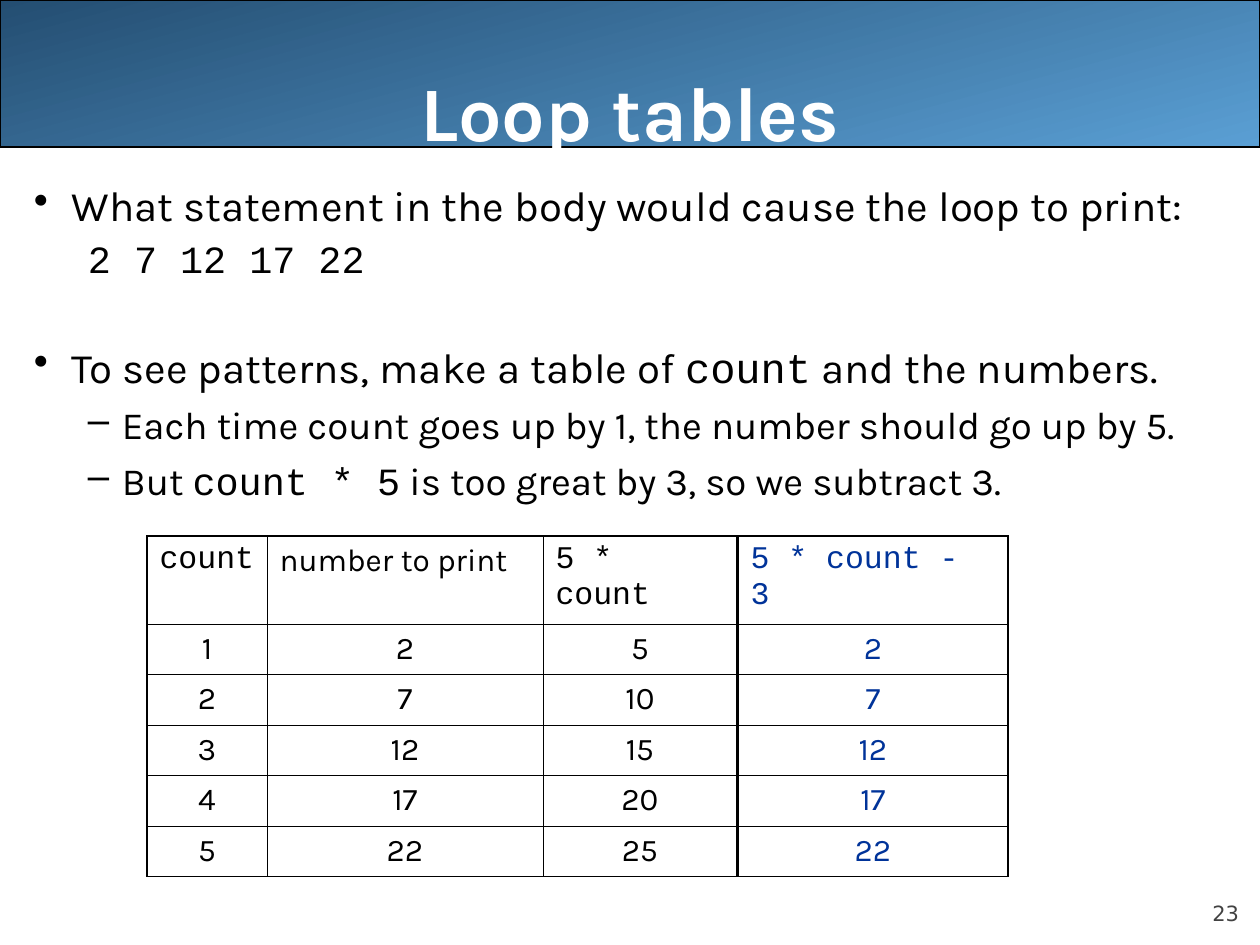
"""Build the "Loop tables" slide."""
from lxml.etree import SubElement
from pptx import Presentation
from pptx.dml.color import RGBColor
from pptx.enum.shapes import MSO_SHAPE as Shape
from pptx.enum.text import MSO_ANCHOR as Anchor, PP_ALIGN as Align
from pptx.oxml.ns import qn
from pptx.util import Emu, Pt

PX = 914400 // 126
SANS, MONO, NUMERAL = "Karla", "Courier New", "DejaVu Sans"
COLORS = {"black": "000000", "white": "FFFFFF", "blue": "003399", "gray": "424242",
          "banner_light": "5A9FD4", "banner_dark": "244E72"}
THICK, THIN = 1.08, 0.45

TITLE = "Loop tables"
PAGE_NUMBER = "23"
LEVELS = [{"margin": 38, "hang": 38, "size": 24}, {"margin": 88, "hang": 34, "size": 22}]
# level, bullet, space before, line spacing, runs
BODY = [
    (0, "•", 0, 0.9, [("What statement in the body would cause the loop to print:", SANS)]),
    (1, None, 5.5, 0.9, [("2 7 12 17 22", MONO)]),
    (0, "•", 34, 1, [("To see patterns, make a table of ", SANS), ("count", MONO),
                     (" and the numbers.", SANS)]),
    (1, "–", 5.5, 1, [("Each time count goes up by 1, the number should go up by 5.", SANS)]),
    (1, "–", 5.5, 1, [("But ", SANS), ("count * 5", MONO),
                      (" is too great by 3, so we subtract 3.", SANS)]),
]
COUNTS = range(1, 6)
PRINTED = [2, 7, 12, 17, 22]
TABLES = [
    {"left": 147, "color": "black", "columns": [
        ("count", MONO, 120, COUNTS),
        ("number to print", SANS, 276, PRINTED),
        ("5 * count", MONO, 194, [5 * count for count in COUNTS])]},
    {"left": 738, "color": "blue", "columns": [("5 * count - 3", MONO, 270, PRINTED)]},
]
TABLE_TOP, HEADER_HEIGHT, ROW_HEIGHT = 536, 88, 50


def px(length):
    return Emu(length * PX)


def rgb(name):
    return RGBColor.from_string(COLORS[name])


def style(font, name, size, color, bold=False):
    font.name, font.size, font.bold = name, Pt(size), bold
    font.color.rgb = rgb(color)


def add_box(page, left, top, width, height, anchor, insets):
    frame = page.shapes.add_textbox(px(left), px(top), px(width), px(height)).text_frame
    frame.word_wrap, frame.vertical_anchor = True, anchor
    frame.margin_left, frame.margin_top, frame.margin_right, frame.margin_bottom = map(px, insets)
    return frame


def add_line(page, box, text, align, *look):
    para = box.paragraphs[0]
    para.text, para.alignment = text, align
    style(para.font, *look)


def add_banner(page):
    banner = page.shapes.add_shape(Shape.ROUNDED_RECTANGLE, 0, 0, px(1260), px(147))
    banner.adjustments[0] = 0
    banner.shadow.inherit = False
    banner.fill.gradient()
    banner.fill.gradient_angle = 105
    for stop, name in zip(banner.fill.gradient_stops, ("banner_light", "banner_dark")):
        stop.color.rgb = rgb(name)
    banner.line.color.rgb = rgb("black")
    banner.line.width = Pt(0.75)


def add_body(page):
    frame = add_box(page, 21, 179, 1239, 714, Anchor.TOP, (13, 6, 13, 6))
    for index, (level, bullet, before, spacing, runs) in enumerate(BODY):
        para = frame.add_paragraph() if index else frame.paragraphs[0]
        look = LEVELS[level]
        para.level, para.line_spacing, para.space_before = level, spacing, Pt(before)
        props = para._p.get_or_add_pPr()
        props.set("marL", str(px(look["margin"])))
        props.set("indent", str(-px(look["hang"])))
        if bullet:
            SubElement(props, qn("a:buChar"), char=bullet)
        else:
            SubElement(props, qn("a:buNone"))
        style(para.font, SANS, look["size"], "black")
        for text, font in runs:
            span = para.add_run()
            span.text = text
            style(span.font, font, look["size"], "black")


def set_borders(cell, widths):
    props = cell._tc.get_or_add_tcPr()
    for index, (side, width) in enumerate(widths.items()):
        line = SubElement(props, qn(f"a:ln{side}"), w=str(Pt(width)))
        fill = SubElement(line, qn("a:solidFill"))
        SubElement(fill, qn("a:srgbClr"), val=COLORS["black"])
        props.remove(line)
        props.insert(index, line)


def add_table(page, left, color, columns):
    rows = len(COUNTS) + 1
    heights = [HEADER_HEIGHT] + [ROW_HEIGHT] * len(COUNTS)
    table = page.shapes.add_table(
        rows, len(columns), px(left), px(TABLE_TOP),
        px(sum(column[2] for column in columns)), px(sum(heights))).table
    table.first_row = table.horz_banding = False
    for row, height in zip(table.rows, heights):
        row.height = px(height)
    for x, (header, header_font, width, values) in enumerate(columns):
        table.columns[x].width = px(width)
        for y, value in enumerate([header, *values]):
            cell = table.cell(y, x)
            cell.fill.background()
            para = cell.text_frame.paragraphs[0]
            para.text = str(value)
            para.alignment = Align.CENTER if y else Align.LEFT
            style(para.font, SANS if y else header_font, 18, color)
            outer = {"L": x == 0, "R": x == len(columns) - 1, "T": y == 0, "B": y == rows - 1}
            set_borders(cell, {side: THICK if edge else THIN for side, edge in outer.items()})


def main():
    deck = Presentation()
    deck.slide_width, deck.slide_height = px(1260), px(945)
    page = deck.slides.add_slide(deck.slide_layouts[6])
    add_banner(page)
    number = add_box(page, 1134, 876, 105, 50, Anchor.BOTTOM, (0, 0, 0, 0))
    add_line(page, number, PAGE_NUMBER, Align.RIGHT, NUMERAL, 12, "gray")
    title = add_box(page, 63, 0, 1134, 157, Anchor.BOTTOM, (0, 6, 0, 0))
    add_line(page, title, TITLE, Align.CENTER, SANS, 44, "white", True)
    add_body(page)
    for table in TABLES:
        add_table(page, **table)
    deck.save("out.pptx")


if __name__ == "__main__":
    main()
